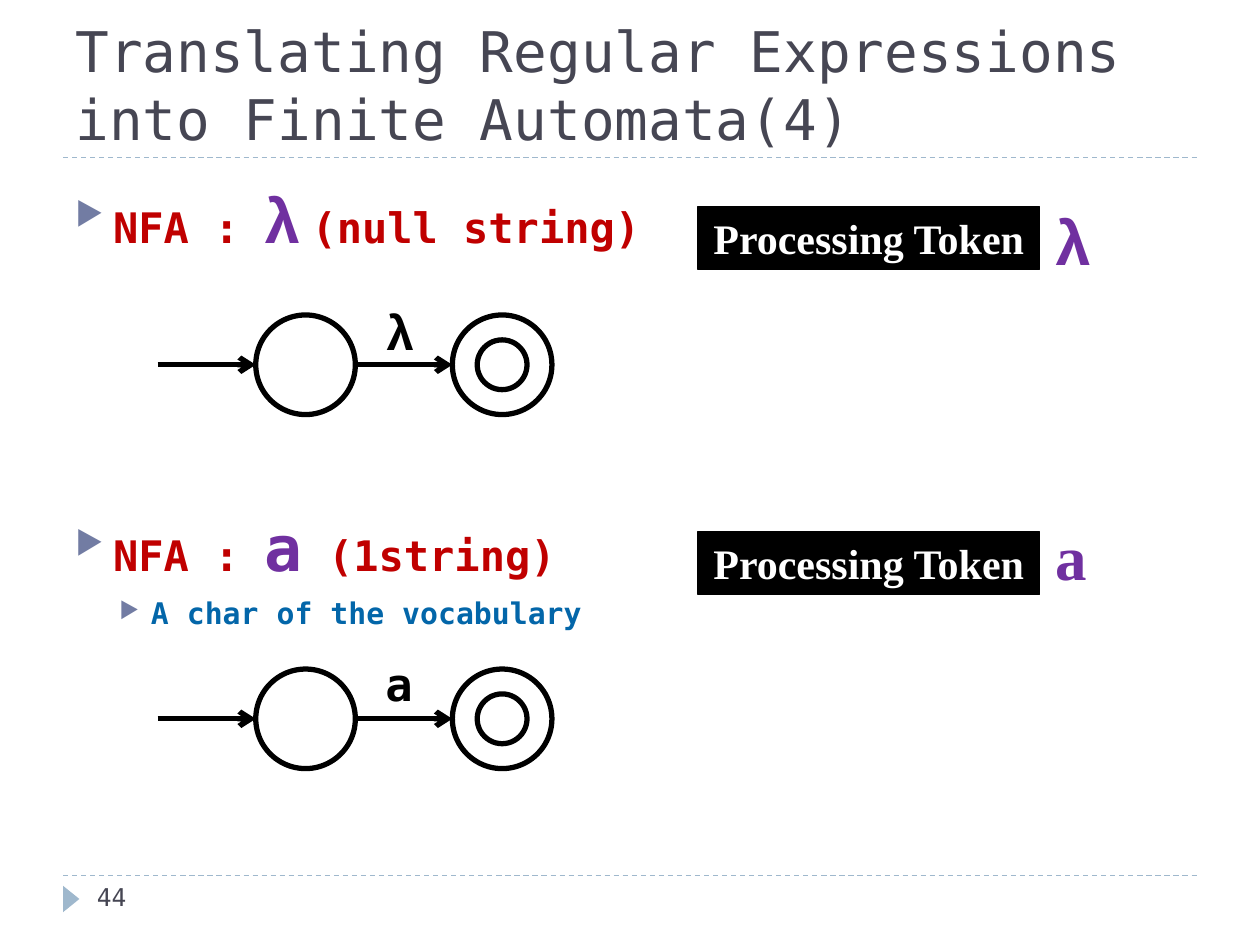
from dataclasses import dataclass

from lxml.etree import SubElement
from pptx import Presentation
from pptx.dml.color import RGBColor
from pptx.enum.dml import MSO_LINE_DASH_STYLE as Dash
from pptx.enum.shapes import MSO_CONNECTOR as Connector, MSO_SHAPE as Shape
from pptx.enum.text import MSO_ANCHOR as Anchor, PP_ALIGN as Align
from pptx.oxml.ns import qn
from pptx.util import Inches, Pt


@dataclass(frozen=True)
class Theme:
    mono: str = "DejaVu Sans Mono"
    sans: str = "Arial"
    serif: str = "Times New Roman"
    title: str = "464653"
    red: str = "C00000"
    purple: str = "7030A0"
    blue: str = "0366A9"
    bullet: str = "727CA3"
    accent: str = "9FB8CD"
    black: str = "000000"
    white: str = "FFFFFF"
    title_size: int = 32
    symbol_size: int = 36
    body_size: int = 24
    sub_size: int = 17
    number_size: int = 14


THEME = Theme()


def rgb(value):
    return RGBColor.from_string(value)


def add_text(paragraph, text, *, size=THEME.body_size, font=THEME.mono,
             color=THEME.black, bold=True):
    for index, line in enumerate(text.split("\n")):
        if index:
            paragraph.add_line_break()
        run = paragraph.add_run()
        run.text = line
        run.font.size = Pt(size)
        run.font.name = font
        run.font.bold = bold
        run.font.color.rgb = rgb(color)


def add_box(slide, left, top, width, height, wrap=True, anchor=Anchor.TOP):
    box = slide.shapes.add_textbox(Inches(left), Inches(top), Inches(width), Inches(height))
    box.text_frame.word_wrap = wrap
    box.text_frame.vertical_anchor = anchor
    return box.text_frame


def set_bullet(paragraph, margin, indent):
    properties = paragraph._p.get_or_add_pPr()
    properties.set("marL", str(Inches(margin)))
    properties.set("indent", str(Inches(-indent)))
    color = SubElement(properties, qn("a:buClr"))
    SubElement(color, qn("a:srgbClr"), val=THEME.bullet)
    SubElement(properties, qn("a:buSzPct"), val="76000")
    SubElement(properties, qn("a:buChar"), char="▶")


def add_line(slide, start, end, color, width, dash=None, arrow=False):
    line = slide.shapes.add_connector(Connector.STRAIGHT, *map(Inches, start + end))
    line.line.color.rgb = rgb(color)
    line.line.width = Pt(width)
    if dash:
        line.line.dash_style = dash
    if arrow:
        SubElement(line.line._get_or_add_ln(), qn("a:tailEnd"), type="arrow")
    SubElement(line._element.spPr, qn("a:effectLst"))


def add_shape(slide, kind, left, top, width, height, fill, line=None, line_width=0.75):
    shape = slide.shapes.add_shape(kind, Inches(left), Inches(top), Inches(width), Inches(height))
    shape.shadow.inherit = False
    shape.fill.solid()
    shape.fill.fore_color.rgb = rgb(fill)
    if line:
        shape.line.color.rgb = rgb(line)
        shape.line.width = Pt(line_width)
    else:
        shape.line.fill.background()
    return shape


def add_heading(slide, top, symbol, symbol_font, gap_font, description, note=None):
    frame = add_box(slide, 0.5, top, 9, 1.2)
    heading = frame.paragraphs[0]
    set_bullet(heading, 0.3, 0.3)
    add_text(heading, "NFA : ", color=THEME.red)
    add_text(heading, symbol, size=THEME.symbol_size, font=symbol_font, color=THEME.purple)
    add_text(heading, " ", font=gap_font)
    add_text(heading, description, color=THEME.red)
    if note:
        paragraph = frame.add_paragraph()
        paragraph.level = 1
        set_bullet(paragraph, 0.6, 0.25)
        paragraph.space_before = Pt(6)
        add_text(paragraph, note, size=THEME.sub_size, color=THEME.blue)


def add_automaton(slide, top, label, label_at, label_size, label_font):
    diameter, start_left, final_left = 0.79, 2.03, 3.59
    middle = top + diameter / 2
    outline = dict(fill=THEME.white, line=THEME.black, line_width=3)
    add_shape(slide, Shape.OVAL, start_left, top, diameter, diameter, **outline)
    for begin, end in ((1.25, start_left), (start_left + diameter, final_left)):
        add_line(slide, (begin, middle), (end, middle), THEME.black, 3, arrow=True)
    frame = add_box(slide, *label_at, 0.42, 0.55, wrap=False)
    add_text(frame.paragraphs[0], label, size=label_size, font=label_font)
    # The accepting state is a ring
    final = add_shape(slide, Shape.DONUT, final_left, top, diameter, diameter, **outline)
    final.adjustments[0] = 0.25


def add_token(slide, top, symbol, symbol_top, symbol_font):
    frame = add_box(slide, 8.28, symbol_top, 0.46, 0.7, wrap=False)
    add_text(frame.paragraphs[0], symbol, size=THEME.symbol_size, font=symbol_font,
             color=THEME.purple)
    label = add_shape(slide, Shape.RECTANGLE, 5.54, top, 2.71, 0.5, THEME.black, THEME.black)
    label.text_frame.word_wrap = False
    paragraph = label.text_frame.paragraphs[0]
    paragraph.alignment = Align.CENTER
    add_text(paragraph, "Processing Token", font=THEME.serif, color=THEME.white)


def main():
    presentation = Presentation()
    presentation.slide_width, presentation.slide_height = Inches(10), Inches(7.5)
    slide = presentation.slides.add_slide(presentation.slide_layouts[6])

    # Frame: rules, title and page number
    for y in (6.95, 1.25):
        add_line(slide, (0.5, y), (9.5, y), THEME.accent, 0.75, dash=Dash.DASH)
    marker = add_shape(slide, Shape.ISOSCELES_TRIANGLE, 0.46, 7.07, 0.21, 0.13, THEME.accent)
    marker.rotation = 90
    title = add_box(slide, 0.5, 0.17, 9, 1.08, anchor=Anchor.BOTTOM)
    add_text(title.paragraphs[0], "Translating Regular Expressions \ninto Finite Automata(4)",
             size=THEME.title_size, color=THEME.title, bold=False)
    number = add_box(slide, 0.67, 6.95, 2.17, 0.4)
    add_text(number.paragraphs[0], "44", size=THEME.number_size, color=THEME.title, bold=False)

    # Null string
    add_heading(slide, 1.38, "λ", THEME.sans, THEME.sans, "(null string)")
    add_automaton(slide, 2.5, "λ", (2.97, 2.34), 28, THEME.sans)
    add_token(slide, 1.64, "λ", 1.56, THEME.sans)

    # Single character
    add_heading(slide, 3.99, "a", THEME.mono, THEME.mono, "(1string)",
                note="A char of the vocabulary")
    add_automaton(slide, 5.31, "a", (2.96, 5.16), 26, THEME.mono)
    add_token(slide, 4.22, "a", 4.06, THEME.serif)

    presentation.save("out.pptx")


if __name__ == "__main__":
    main()
